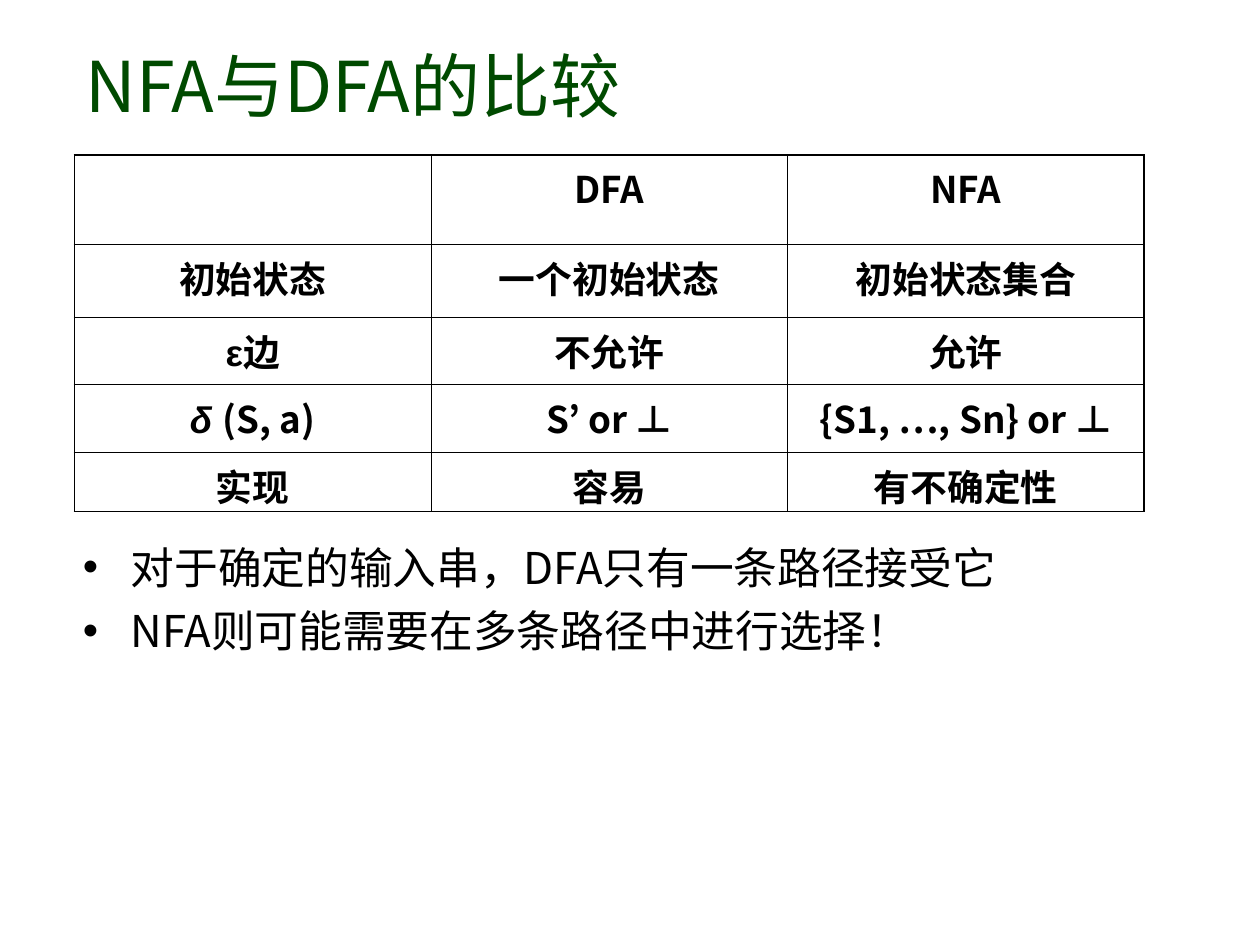
from lxml import etree
from pptx import Presentation
from pptx.dml.color import RGBColor
from pptx.enum import text
from pptx.oxml import ns
from pptx.util import Inches, Pt

TITLE = "NFA与DFA的比较"
ROWS = [
    ["", "DFA", "NFA"],
    ["初始状态", "一个初始状态", "初始状态集合"],
    ["ε边", "不允许", "允许"],
    ["δ (S, a)", "S’ or ⊥", "{S1, …, Sn} or ⊥"],
    ["实现", "容易", "有不确定性"],
]
GREEK = {"ε": False, "δ ": True}
BULLETS = [
    "对于确定的输入串，DFA只有一条路径接受它",
    "NFA则可能需要在多条路径中进行选择！",
]
ROW_HEIGHTS = [0.71, 0.58, 0.53, 0.54, 0.47]
COLUMN_WIDTH = 2.83
OUTER_LINE, INNER_LINE = 1.08, 0.45
FONT, GREEK_FONT = "Noto Sans CJK KR", "Arial"
GREEN = RGBColor(0x00, 0x4A, 0x00)
BLACK = RGBColor(0x00, 0x00, 0x00)


def add_child(parent, tag, **attributes):
    return etree.SubElement(parent, ns.qn(tag), attributes)


def format_run(run, size, color, name=FONT, bold=False, italic=False):
    font = run.font
    font.size, font.bold, font.italic = Pt(size), bold, italic
    font.color.rgb = color
    font.name = name
    add_child(font._element, "a:ea", typeface=name)


def add_text_box(slide, left, top, width, height, anchor):
    frame = slide.shapes.add_textbox(
        Inches(left), Inches(top), Inches(width), Inches(height)).text_frame
    frame.word_wrap = True
    frame.vertical_anchor = anchor
    return frame


def set_borders(cell, widths):
    properties = cell._tc.get_or_add_tcPr()
    for index, (side, width) in enumerate(zip("LRTB", widths)):
        line = add_child(properties, f"a:ln{side}", w=str(int(Pt(width))))
        fill = add_child(line, "a:solidFill")
        add_child(fill, "a:srgbClr", val=str(BLACK))
        properties.insert(index, line)


def fill_cell(cell, content):
    paragraph = cell.text_frame.paragraphs[0]
    paragraph.alignment = text.PP_ALIGN.CENTER
    for symbol, italic in GREEK.items():
        if content.startswith(symbol):
            run = paragraph.add_run()
            run.text = symbol
            format_run(run, 21, BLACK, GREEK_FONT, True, italic)
            content = content[len(symbol):]
    if content:
        run = paragraph.add_run()
        run.text = content
        format_run(run, 21, BLACK, bold=True)


def add_comparison_table(slide):
    row_count, column_count = len(ROWS), len(ROWS[0])
    table = slide.shapes.add_table(
        row_count, column_count, Inches(0.59), Inches(1.23),
        Inches(COLUMN_WIDTH * column_count), Inches(sum(ROW_HEIGHTS))).table
    table.first_row = table.horz_banding = False
    for column in table.columns:
        column.width = Inches(COLUMN_WIDTH)
    for r, (height, contents) in enumerate(zip(ROW_HEIGHTS, ROWS)):
        table.rows[r].height = Inches(height)
        for c, content in enumerate(contents):
            cell = table.cell(r, c)
            cell.fill.background()
            outer = (c == 0, c == column_count - 1, r == 0, r == row_count - 1)
            set_borders(cell, [OUTER_LINE if edge else INNER_LINE for edge in outer])
            fill_cell(cell, content)


def add_bullets(slide):
    frame = add_text_box(slide, 0.56, 4.24, 8.5, 1.4, text.MSO_ANCHOR.TOP)
    frame.text = "\n".join(BULLETS)
    for index, paragraph in enumerate(frame.paragraphs):
        if index:
            paragraph.space_before = Pt(6.2)
        properties = paragraph._p.get_or_add_pPr()
        properties.set("marL", str(Inches(0.38)))
        properties.set("indent", str(-Inches(0.38)))
        add_child(properties, "a:buFont", typeface="Arial")
        add_child(properties, "a:buChar", char="•")
        format_run(paragraph.runs[0], 25, BLACK)


def main():
    presentation = Presentation()
    presentation.slide_width, presentation.slide_height = Inches(10), Inches(7.5)
    slide = presentation.slides.add_slide(presentation.slide_layouts[6])
    title = add_text_box(slide, 0.58, 0.17, 8.49, 1, text.MSO_ANCHOR.MIDDLE)
    title.text = TITLE
    format_run(title.paragraphs[0].runs[0], 40, GREEN)
    add_comparison_table(slide)
    add_bullets(slide)
    presentation.save("out.pptx")


if __name__ == "__main__":
    main()
